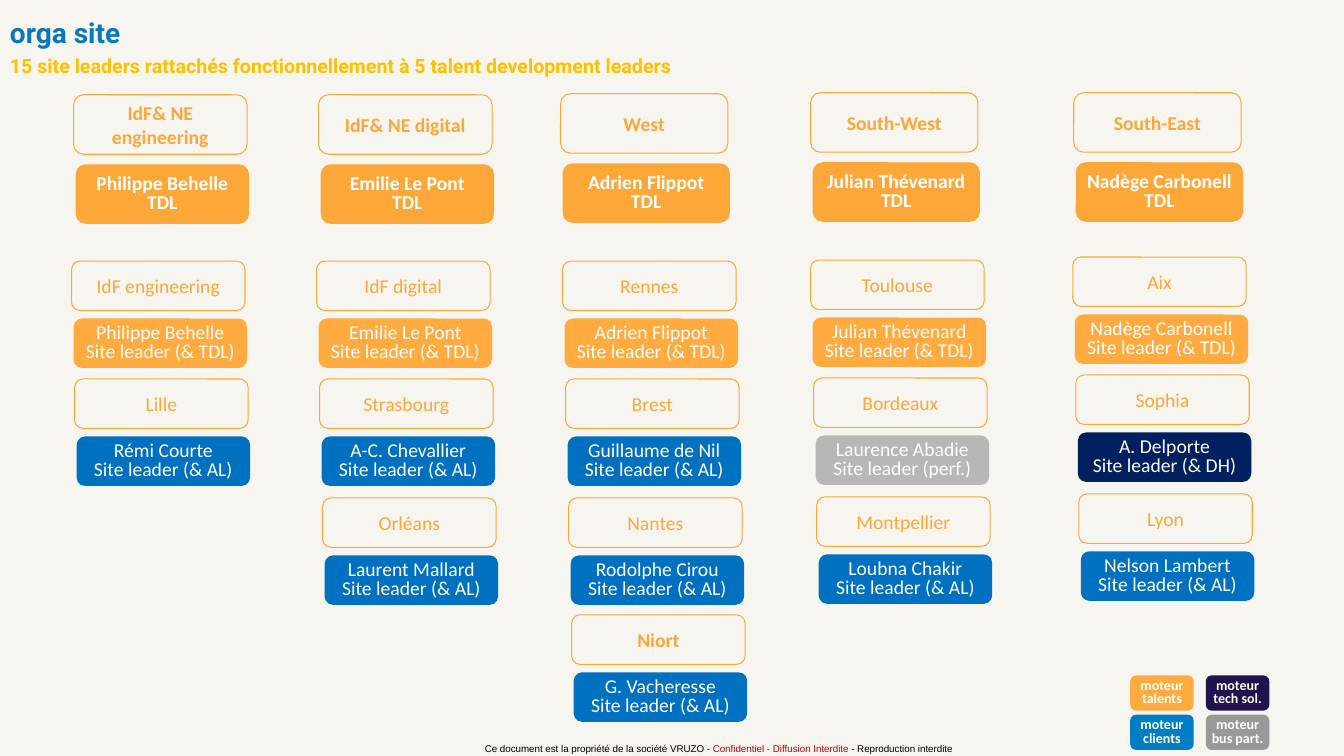
"""Build the site organisation slide."""
from pptx import Presentation
from pptx.dml.color import RGBColor
from pptx.enum.shapes import MSO_SHAPE
from pptx.enum.text import MSO_ANCHOR, PP_ALIGN
from pptx.util import Inches, Pt

ROUNDED = MSO_SHAPE.ROUNDED_RECTANGLE
MIDDLE = MSO_ANCHOR.MIDDLE
TOP = MSO_ANCHOR.TOP
CENTER = PP_ALIGN.CENTER

CREAM = RGBColor(0xF7, 0xF5, 0xF0)
WHITE = RGBColor(0xFF, 0xFF, 0xFF)
BLACK = RGBColor(0x00, 0x00, 0x00)
RED = RGBColor(0xC0, 0x00, 0x00)
TITLE_BLUE = RGBColor(0x09, 0x77, 0xBD)
GOLD = RGBColor(0xFF, 0xC0, 0x00)
ORANGE = RGBColor(0xFD, 0xA7, 0x39)
TALENT = RGBColor(0xFF, 0xAB, 0x40)
BLUE = RGBColor(0x00, 0x70, 0xC0)
NAVY = RGBColor(0x00, 0x20, 0x60)
SILVER = RGBColor(0xB7, 0xB7, 0xB7)
CLIENT = RGBColor(0x00, 0x7D, 0xC5)
TECH = RGBColor(0x20, 0x12, 0x4D)
GRAY = RGBColor(0x99, 0x99, 0x99)

ROLE_FILLS = {"& TDL": TALENT, "& AL": BLUE, "& DH": NAVY, "perf.": SILVER}
SITE_TOPS = (2.59, 3.76, 4.94, 6.1)

REGIONS = [
    ("IdF& NE engineering", "Philippe Behelle", (0.73, 0.94, 1.72), (0.71, 0),
     [("IdF engineering", "Philippe Behelle", "& TDL"),
      ("Lille", "Rémi Courte", "& AL")]),
    ("IdF& NE digital", "Emilie Le Pont", (3.16, 0.94, 1.72), (3.14, 0),
     [("IdF digital", "Emilie Le Pont", "& TDL"),
      ("Strasbourg", "A-C. Chevallier", "& AL"),
      ("Orléans", "Laurent Mallard", "& AL")]),
    ("West", "Adrien Flippot", (5.56, 0.93, 1.66), (5.58, 0),
     [("Rennes", "Adrien Flippot", "& TDL"),
      ("Brest", "Guillaume de Nil", "& AL"),
      ("Nantes", "Rodolphe Cirou", "& AL"),
      ("Niort", "G. Vacheresse", "& AL")]),
    ("South-West", "Julian Thévenard", (8.04, 0.92, 1.66), (8.04, -0.01),
     [("Toulouse", "Julian Thévenard", "& TDL"),
      ("Bordeaux", "Laurence Abadie", "perf."),
      ("Montpellier", "Loubna Chakir", "& AL")]),
    ("South-East", "Nadège Carbonell", (10.65, 0.92, 1.66), (10.64, -0.04),
     [("Aix", "Nadège Carbonell", "& TDL"),
      ("Sophia", "A. Delporte", "& DH"),
      ("Lyon", "Nelson Lambert", "& AL")]),
]

LEGEND = [
    [("moteur talents", TALENT), ("moteur tech sol.", TECH)],
    [("moteur clients", CLIENT), ("moteur bus part.", GRAY)],
]


class OrgaPage:
    """Hold the page and its styles, with a method per kind of element."""

    def __init__(self, page):
        """Keep the page and paint its background."""
        self.page = page
        page.background.fill.solid()
        page.background.fill.fore_color.rgb = CREAM

    def style(self, span, font, size, color, bold=False):
        """Format one run."""
        span.font.name = font
        span.font.size = Pt(size)
        span.font.color.rgb = color
        span.font.bold = bold

    def box(self, at, text, size, color, bold, inset, spacing):
        """Draw a rounded box with centred text."""
        box = self.page.shapes.add_shape(ROUNDED, *map(Inches, at))
        box.shadow.inherit = False
        frame = box.text_frame
        frame.word_wrap = True
        frame.vertical_anchor = MIDDLE
        frame.margin_left = frame.margin_right = Inches(inset)
        frame.text = text
        for para in frame.paragraphs:
            para.alignment = CENTER
            para.line_spacing = spacing
            self.style(para.runs[0], "Calibri", size, color, bold)
        return box

    def label(self, at, text, bold=False):
        """Draw an outlined place label."""
        box = self.box(at, text, 14, ORANGE, bold, 0.1, 1.0)
        box.fill.background()
        box.line.color.rgb = ORANGE
        box.line.width = Pt(0.75)

    def card(self, at, text, fill, size=14, bold=False):
        """Draw a filled card."""
        box = self.box(at, text, size, WHITE, bold, 0.02, 0.8)
        box.fill.solid()
        box.fill.fore_color.rgb = fill
        box.line.fill.background()

    def text(self, at, lines, font, anchor=TOP, spacing=1.0):
        """Write lines made of (text, size, colour, bold) spans."""
        frame = self.page.shapes.add_textbox(*map(Inches, at)).text_frame
        frame.word_wrap = True
        frame.vertical_anchor = anchor
        for index, spans in enumerate(lines):
            para = frame.add_paragraph() if index else frame.paragraphs[0]
            para.line_spacing = spacing
            for words, size, color, bold in spans:
                span = para.add_run()
                span.text = words
                self.style(span, font, size, color, bold)

    def region(self, name, leader, head, column, sites):
        """Draw a region head and the sites below it."""
        left, top, width = head
        self.label((left, top, width, 0.59), name, True)
        self.card((left + 0.02, top + 0.69, width, 0.59),
                  f"{leader}\nTDL", ORANGE, bold=True)
        site_left, shift = column
        for row, (site, person, role) in enumerate(sites):
            left, top = site_left + 0.03 * row, SITE_TOPS[row] + shift
            self.label((left, top, 1.72, 0.49), site, site == "Niort")
            self.card((left + 0.02, top + 0.57, 1.72, 0.49),
                      f"{person}\nSite leader ({role})", ROLE_FILLS[role])


def main():
    """Build and save the deck."""
    deck = Presentation()
    deck.slide_width, deck.slide_height = Inches(13.33), Inches(7.5)
    page = OrgaPage(deck.slides.add_slide(deck.slide_layouts[6]))
    page.text((0, 0.15, 9.88, 0.55), [
        [("orga site", 20, TITLE_BLUE, True)],
        [("15 site leaders rattachés fonctionnellement à 5 talent development leaders",
          14, GOLD, True)],
    ], "Roboto", MIDDLE, 1.2)
    for region in REGIONS:
        page.region(*region)
    for row, engines in enumerate(LEGEND):
        for column, (name, fill) in enumerate(engines):
            at = (11.21 + 0.75 * column, 6.7 + 0.39 * row, 0.63, 0.35)
            page.card(at, name, fill, 10, True)
    page.text((4.71, 7.32, 4.84, 0.22), [[
        ("Ce document est la propriété de la société VRUZO - ", 7, BLACK, False),
        ("Confidentiel - Diffusion Interdite ", 7, RED, False),
        ("- Reproduction interdite", 7, BLACK, False),
    ]], "Arial")
    deck.save("out.pptx")


if __name__ == "__main__":
    main()
